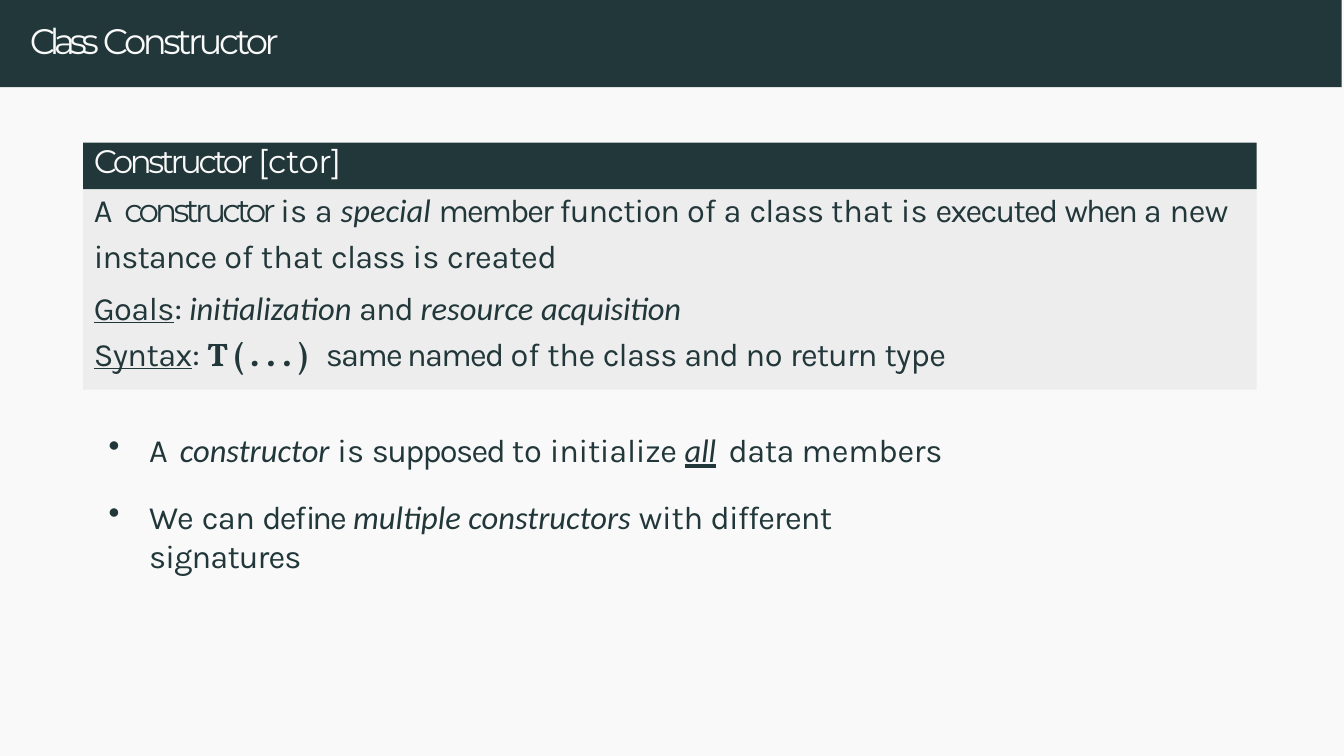
from lxml.etree import SubElement as Sub
from pptx import Presentation
from pptx.dml.color import RGBColor
from pptx.enum.shapes import MSO_SHAPE as Kind
from pptx.enum.text import MSO_ANCHOR as Anchor, MSO_AUTO_SIZE as Fit, PP_ALIGN as Align
from pptx.oxml.ns import qn
from pptx.util import Inches, Pt

COLS, ROWS = 631, 355
CELL = Inches(0.01)
DARK, PALE, GRAY = "22373A", "F9F9F9", "EDEDED"

PLAIN = {"name": "Karla"}
HEAD = {"name": "Montserrat"}
SLANT = {"name": "Calibri", "italic": True}
LINE = {"name": "Karla", "underline": True}
KEY = {"name": "Calibri", "italic": True, "underline": True}
CODE = {"name": "Vollkorn", "bold": True}

TITLE = [(0.9, [("Class ", HEAD, -1.8), ("Constructor", HEAD, -1.2)])]
TERM = [(0, [("Constructor ", HEAD, -1.2), ("[ctor]", HEAD, -0.1)])]
MEANING = [
    (0.2, [("A ", PLAIN, 0.7), ("constructor ", HEAD, -1.3), ("is a ", PLAIN, 0),
           ("special ", SLANT, 0), ("member ", PLAIN, -0.7), ("function ", PLAIN, -0.3),
           ("of a ", PLAIN, 0), ("class ", PLAIN, -0.3), ("that is ", PLAIN, 0),
           ("executed ", PLAIN, -0.6), ("when ", PLAIN, -0.7), ("a ", PLAIN, 0),
           ("new", PLAIN, -0.2)]),
    (2.4, [("instance ", PLAIN, -0.3), ("of that ", PLAIN, 0), ("class ", PLAIN, -0.3),
           ("is ", PLAIN, 0), ("created", PLAIN, -0.1)]),
    (4.3, [("Goals", LINE, -0.2), (": ", PLAIN, -0.2), ("initialization ", SLANT, 0),
           ("and ", PLAIN, -0.4), ("resource ", SLANT, 0), ("acquisition", SLANT, -0.1)]),
    (2.4, [("Syntax", LINE, -0.2), (": ", PLAIN, -0.2), ("T(...) ", CODE, 1.9),
           ("same named ", PLAIN, -0.6), ("of ", PLAIN, 0), ("the ", PLAIN, -0.1),
           ("class ", PLAIN, -0.3), ("and ", PLAIN, -0.4), ("no ", PLAIN, -0.1),
           ("return ", PLAIN, -0.3), ("type", PLAIN, -0.2)]),
]
RULES = [
    (0.9, [("A ", PLAIN, 0.7), ("constructor ", SLANT, 0), ("is ", PLAIN, 0),
           ("supposed ", PLAIN, -0.6), ("to ", PLAIN, 0), ("initialize ", PLAIN, -0.1),
           ("all", KEY, 0), (" ", SLANT, 1.7), ("data ", PLAIN, -0.2),
           ("members", PLAIN, -0.1)]),
    (9.3, [("We ", PLAIN, 0), ("can ", PLAIN, -0.2), ("define ", PLAIN, -0.6),
           ("multiple constructors ", SLANT, 0), ("with ", PLAIN, -0.1),
           ("different signatures", PLAIN, -0.3)]),
]


def paint(code):
    """Turn a hex string into a colour."""
    return RGBColor.from_string(code)


def style(item, looks):
    """Set each attribute named in a dict."""
    for name, value in looks.items():
        setattr(item, name, value)


def span(col, row, cols, rows):
    """Turn grid cells into left, top, width and height."""
    return [n * CELL for n in (col, row, cols, rows)]


def block(slide, area, fill):
    """Add a plain filled rectangle."""
    shape = slide.shapes.add_shape(Kind.RECTANGLE, *span(*area))
    shape.shadow.inherit = False
    shape.fill.solid()
    shape.fill.fore_color.rgb = paint(fill)
    shape.line.fill.background()
    return shape


def write(shape, paras, color, size=11, left=0, hang=0, top=0, lead=None, mark=None):
    """Fill a shape with spaced paragraphs of styled runs."""
    frame = shape.text_frame
    style(frame, {"margin_left": 0, "margin_right": 0, "margin_bottom": 0,
                  "margin_top": top * CELL, "word_wrap": True,
                  "vertical_anchor": Anchor.TOP, "auto_size": Fit.SHAPE_TO_FIT_TEXT})
    for i, (gap, runs) in enumerate(paras):
        para = frame.add_paragraph() if i else frame.paragraphs[0]
        style(para, {"alignment": Align.LEFT, "space_before": Pt(gap)})
        if lead:
            para.line_spacing = Pt(lead)
        props = para._p.get_or_add_pPr()
        props.set("marL", str(left * CELL))
        props.set("indent", str(hang * CELL))
        if mark:
            Sub(props, qn("a:buChar")).set("char", mark)
        for text, looks, track in runs:
            run = para.add_run()
            run.text = text
            style(run.font, {"size": Pt(size), **looks})
            run.font.color.rgb = paint(color)
            run._r.get_or_add_rPr().set("spc", str(round(track * 100)))


def head(slide):
    """Place the title on its dark band."""
    title = slide.shapes.title
    band = block(slide, (0, 0, COLS - 1, 41), DARK)
    title.element.addprevious(band.element)
    style(title, dict(zip(("left", "top", "width", "height"), span(13, 8, 386, 23))))
    write(title, TITLE, PALE, size=12, left=1, top=1)


def panel(slide):
    """Stack the term over its meaning."""
    term = block(slide, (39, 67, 551, 22), DARK)
    write(term, TERM, PALE, left=5, lead=12.7)
    body = block(slide, (39, 89, 551, 94), GRAY)
    write(body, MEANING, DARK, left=5)


def points(slide):
    """Add the bulleted rules."""
    box = slide.shapes.add_textbox(*span(49, 201, 409, 52))
    write(box, RULES, DARK, left=21, hang=-19, top=1, mark="•")


def main():
    """Build and save the slide."""
    deck = Presentation()
    style(deck, {"slide_width": COLS * CELL, "slide_height": ROWS * CELL})
    slide = deck.slides.add_slide(deck.slide_layouts[5])
    slide.background.fill.solid()
    slide.background.fill.fore_color.rgb = paint(PALE)
    head(slide)
    panel(slide)
    points(slide)
    deck.save("out.pptx")


main()
